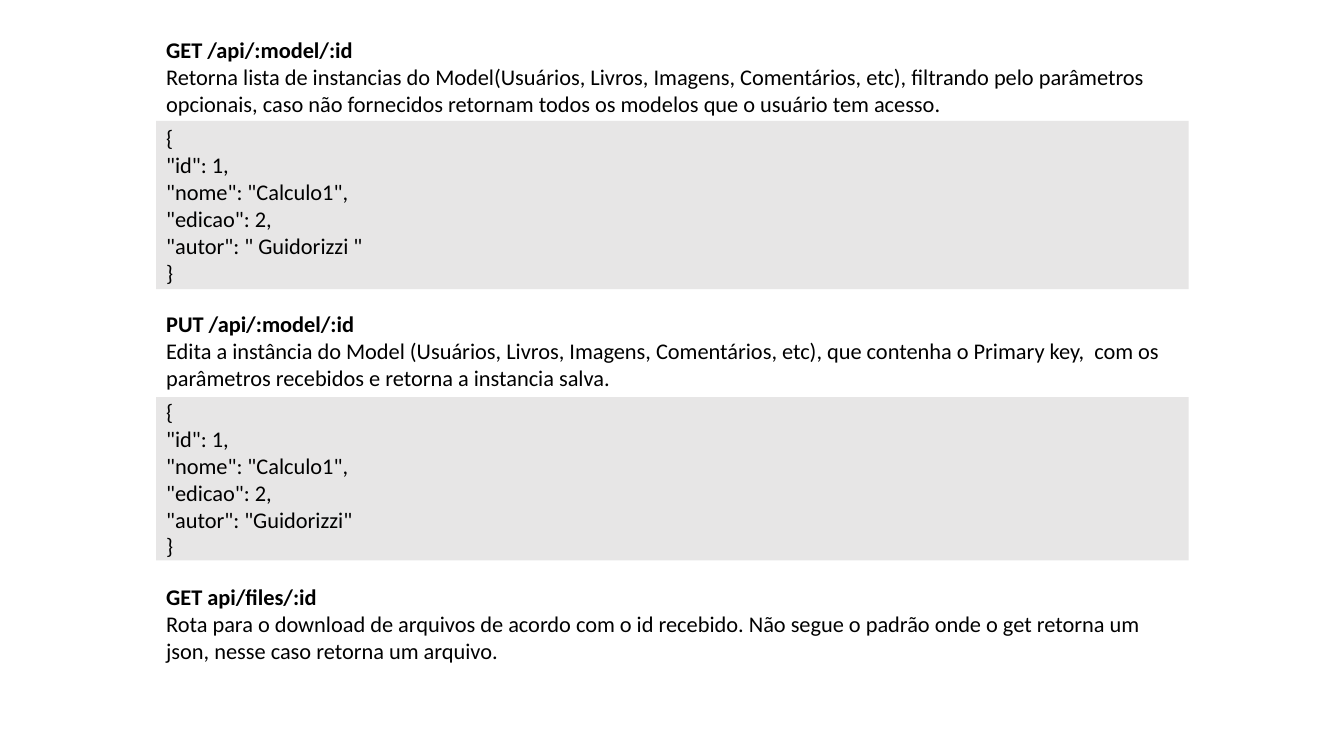
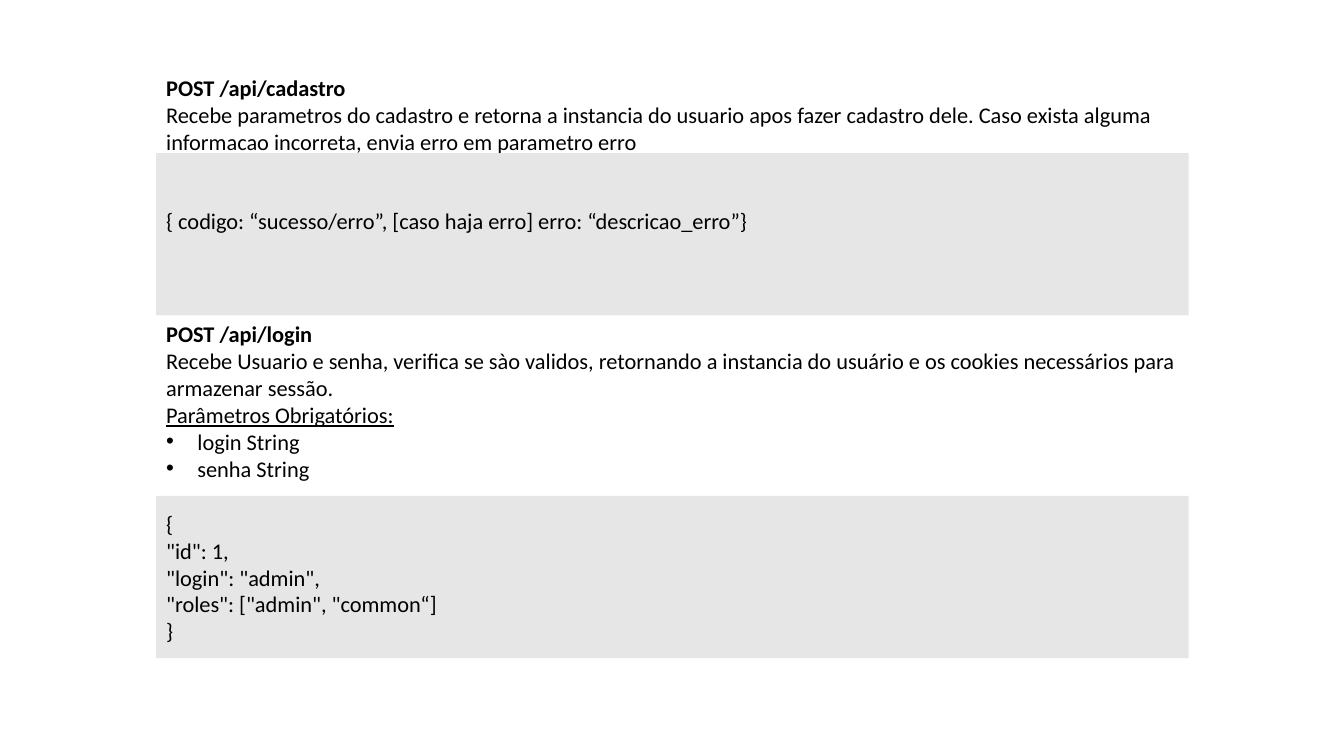
from lxml.etree import SubElement
from pptx import Presentation
from pptx.dml.color import RGBColor
from pptx.enum.shapes import MSO_SHAPE as Shape
from pptx.enum.text import MSO_ANCHOR as Anchor, PP_ALIGN as Align
from pptx.oxml.ns import qn
from pptx.util import Inches, Pt

COLORS = {"text": "000000", "code": "E7E6E6"}
FONT, SIZE = "Calibri", 16
WIDTH, HEIGHT = 13.33, 7.5
ROWS = 75
UNIT = HEIGHT / ROWS
LEFT, SPAN = 15.5, 102.4
LINE = 2.7


def grid(count):
    """Turn a count of grid units into a length."""
    return Inches(round(count * UNIT, 2))


def write(para, text, bold=False, underline=False, bullet=False):
    """Add one formatted span of text to a paragraph."""
    para.alignment = Align.LEFT
    span = para.add_run()
    span.text = text
    font = span.font
    font.name, font.size = FONT, Pt(SIZE)
    font.bold, font.underline = bold, underline
    font.color.rgb = RGBColor.from_string(COLORS["text"])
    if bullet:
        indent = grid(3.1)
        props = para._p.get_or_add_pPr()
        props.set("marL", str(indent))
        props.set("indent", str(-indent))
        SubElement(props, qn("a:buFont"), typeface="Arial")
        SubElement(props, qn("a:buChar"), char="•")


class ApiDeck:
    """Hold the shared style and the current slide."""

    def __init__(self):
        """Start an empty widescreen deck."""
        self.deck = Presentation()
        self.deck.slide_width = Inches(WIDTH)
        self.deck.slide_height = Inches(HEIGHT)
        self.page = None

    def add_page(self):
        """Start a blank slide."""
        self.page = self.deck.slides.add_slide(self.deck.slide_layouts[6])

    def fill_text(self, box, lines):
        """Write each (text, format) pair as one paragraph."""
        frame = box.text_frame
        frame.word_wrap = True
        for index, (text, style) in enumerate(lines):
            para = frame.add_paragraph() if index else frame.paragraphs[0]
            write(para, text, **style)

    def route(self, top, rows, heading, description, label=None, params=()):
        """Describe a route, with its required parameters if any."""
        box = self.page.shapes.add_textbox(grid(LEFT), grid(top), grid(SPAN), grid(rows))
        lines = [(heading, {"bold": True}), (description, {})]
        if label:
            lines.append((label, {"underline": True}))
        lines += [(name, {"bullet": True}) for name in params]
        self.fill_text(box, lines)

    def code(self, top, rows, *lines, lift=0):
        """Show a response on a grey panel, centred above a lift of empty rows."""
        panel = self.page.shapes.add_shape(
            Shape.RECTANGLE, grid(LEFT), grid(top), grid(SPAN), grid(rows))
        panel.shadow.inherit = False
        panel.fill.solid()
        panel.fill.fore_color.rgb = RGBColor.from_string(COLORS["code"])
        panel.line.fill.background()
        frame = panel.text_frame
        frame.vertical_anchor = Anchor.MIDDLE
        frame.margin_top, frame.margin_bottom = 0, grid(lift)
        self.fill_text(panel, [(line, {}) for line in lines])

    def book(self, top, rows, author):
        """Show the book response with the given author text."""
        self.code(top, rows, "{", '"id": 1,', '"nome": "Calculo1",',
                  '"edicao": 2,', f'"autor": "{author}"', "}")


def main():
    """Build and save both slides."""
    api = ApiDeck()

    api.add_page()
    api.route(3.1, 11.8, "GET /api/:model/:id",
              "Retorna lista de instancias do Model(Usuários, Livros, Imagens, "
              "Comentários, etc), filtrando pelo parâmetros opcionais, caso não "
              "fornecidos retornam todos os modelos que o usuário tem acesso.")
    api.book(12, 16.7, " Guidorizzi ")
    api.route(30.3, 9.1, "PUT /api/:model/:id",
              "Edita a instância do Model (Usuários, Livros, Imagens, Comentários, "
              "etc), que contenha o Primary key,  com os parâmetros recebidos e "
              "retorna a instancia salva.")
    api.book(39.4, 16.2, "Guidorizzi")
    api.route(57.4, 12.1, "GET api/files/:id",
              "Rota para o download de arquivos de acordo com o id recebido. Não "
              "segue o padrão onde o get retorna um json, nesse caso retorna um "
              "arquivo.")

    api.add_page()
    api.route(6.9, 12.1, "POST /api/cadastro",
              "Recebe parametros do cadastro e retorna a instancia do usuario apos "
              "fazer cadastro dele. Caso exista alguma informacao incorreta, envia "
              "erro em parametro erro")
    api.code(15.2, 16.1,
             "{ codigo: “sucesso/erro”, [caso haja erro] erro: “descricao_erro”}",
             lift=LINE)
    api.route(31.3, 20.2, "POST /api/login",
              "Recebe Usuario e senha, verifica se sào validos, retornando a "
              "instancia do usuário e os cookies necessários para armazenar sessão.",
              "Parâmetros Obrigatórios:", ("login String", "senha String"))
    api.code(49.2, 16.1, "{", '"id": 1,', '"login": "admin",',
             '"roles": ["admin", "common“]', "}")

    api.deck.save("out.pptx")


if __name__ == "__main__":
    main()
